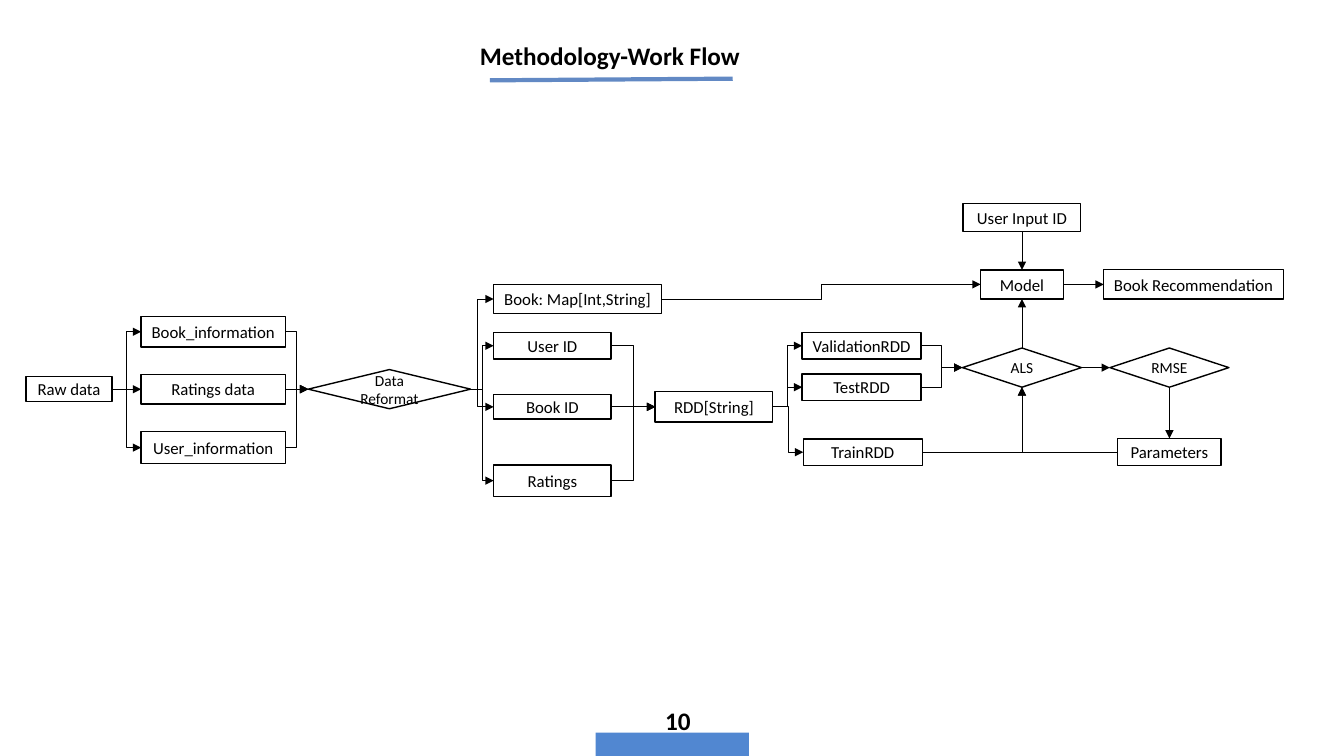
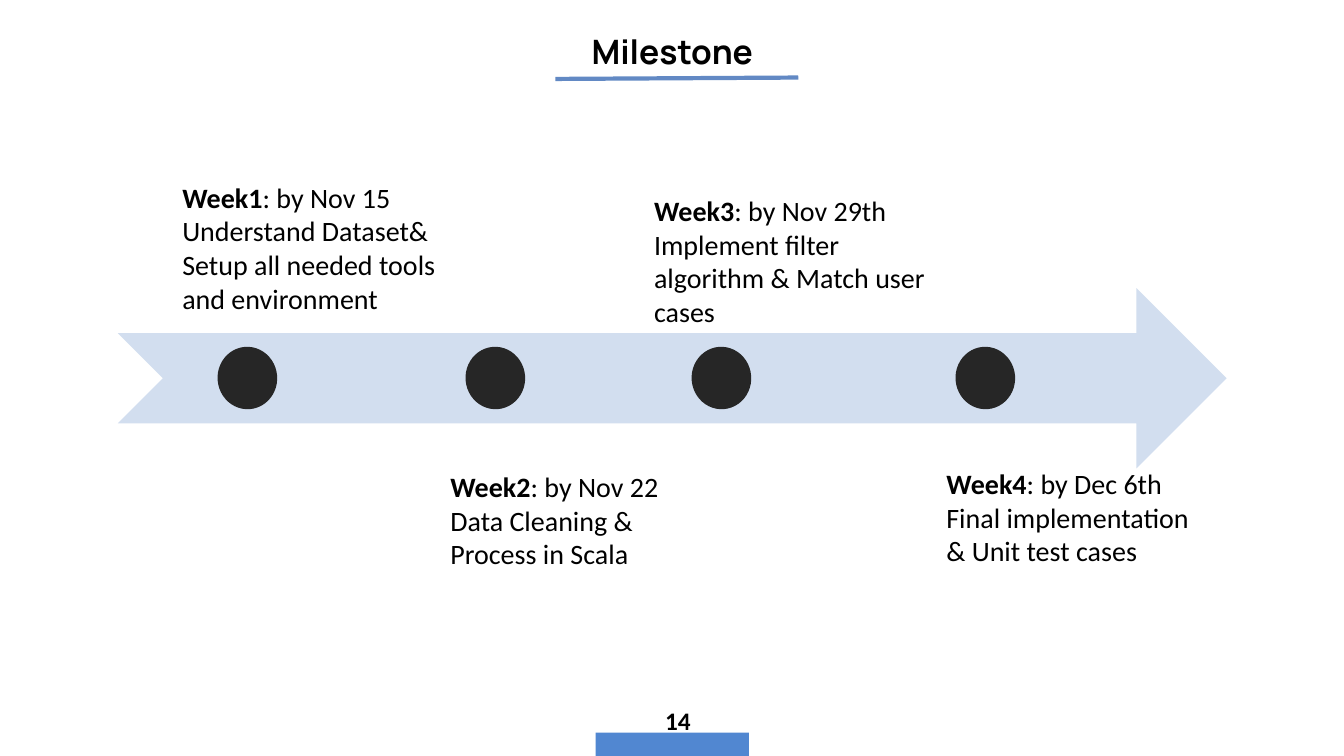
from dataclasses import dataclass

from lxml.etree import SubElement
from pptx import Presentation
from pptx.dml.color import RGBColor
from pptx.enum.shapes import MSO_CONNECTOR, MSO_SHAPE
from pptx.enum.text import MSO_ANCHOR, MSO_AUTO_SIZE, PP_ALIGN
from pptx.oxml.ns import qn
from pptx.shapes.autoshape import Shape
from pptx.shapes.connector import Connector
from pptx.slide import Slide
from pptx.text.text import TextFrame
from pptx.util import Pt

COLOURS = {
    "ink": "000000",
    "paper": "FFFFFF",
    "rule": "6289C4",
    "band": "5187D1",
    "arrow": "D2DEEF",
    "dot": "262626",
}
BODY_FONT = "Calibri"
TITLE_FONT = "Manrope"
TOP, LEFT, BOTTOM, RIGHT = range(4)
STRAIGHT, BENT, CORNER = "line", "bentConnector3", "bentConnector2"


@dataclass(frozen=True)
class Heading:
    text: str
    left: float
    top: float
    width: float
    height: float
    size: float
    font: str
    align: PP_ALIGN
    rule: tuple[float, float, float, float]


@dataclass(frozen=True)
class Node:
    text: str
    left: float
    middle: float
    width: float
    height: float
    diamond: bool = False


@dataclass(frozen=True)
class Link:
    source: str
    target: str
    route: str = BENT
    leave: int = RIGHT
    enter: int = LEFT
    bend: float = 0.5


@dataclass(frozen=True)
class Milestone:
    name: str
    due: str
    task: str
    left: float
    top: float
    width: float
    height: float
    dot_left: float


WORKFLOW_HEADING = Heading("Methodology-Work Flow", 335.5, 25.2, 205, 28.8, 18,
                           BODY_FONT, PP_ALIGN.LEFT, (350, 57.4, 523.4, 56.2))
MILESTONE_HEADING = Heading("Milestone", 375.8, 18.7, 208.8, 36, 24,
                            TITLE_FONT, PP_ALIGN.CENTER, (396.7, 56.4, 570.2, 55.4))

NODES = [
    Node("Raw data", 18.7, 278, 61.2, 18),
    Node("Book_information", 100.8, 237, 103, 21.6),
    Node("Ratings data", 100.8, 278, 103, 21),
    Node("User_information", 100.8, 319.7, 103, 23),
    Node("Data\nReformat", 220.2, 278, 116, 28, True),
    Node("Book: Map[Int,String]", 352.6, 213.6, 120, 21),
    Node("User ID", 352.6, 247, 84, 18.7),
    Node("Book ID", 352.6, 290.6, 84, 17.5),
    Node("Ratings", 352.6, 343.3, 84, 22.4),
    Node("RDD[String]", 468, 290.6, 84, 21.6),
    Node("ValidationRDD", 573, 247, 85, 18.8),
    Node("TestRDD", 573, 276.6, 85, 18.8),
    Node("TrainRDD", 573.8, 323, 85, 18.8),
    Node("ALS", 687.5, 262.6, 85, 28, True),
    Node("RMSE", 792.8, 262.6, 85, 28, True),
    Node("Parameters", 798.3, 323, 74, 19.5),
    Node("Model", 700.5, 203.2, 59, 20.8),
    Node("User Input ID", 688, 155.4, 84, 20),
    Node("Book Recommendation", 788.4, 203.2, 128.2, 21),
]

LINKS = [
    Link("Raw data", "Book_information"),
    Link("Raw data", "Ratings data", STRAIGHT),
    Link("Raw data", "User_information"),
    Link("Book_information", "Data\nReformat"),
    Link("Ratings data", "Data\nReformat", STRAIGHT),
    Link("User_information", "Data\nReformat"),
    Link("Data\nReformat", "Book: Map[Int,String]", bend=0.3),
    Link("Data\nReformat", "User ID"),
    Link("Data\nReformat", "Book ID", bend=0.3),
    Link("Data\nReformat", "Ratings"),
    Link("User ID", "RDD[String]"),
    Link("Book ID", "RDD[String]", STRAIGHT),
    Link("Ratings", "RDD[String]"),
    Link("RDD[String]", "ValidationRDD"),
    Link("RDD[String]", "TestRDD"),
    Link("RDD[String]", "TrainRDD"),
    Link("ValidationRDD", "ALS"),
    Link("TestRDD", "ALS"),
    Link("TrainRDD", "ALS", CORNER, RIGHT, BOTTOM),
    Link("Parameters", "ALS", CORNER, LEFT, BOTTOM),
    Link("ALS", "RMSE", STRAIGHT),
    Link("RMSE", "Parameters", STRAIGHT, BOTTOM, TOP),
    Link("ALS", "Model", STRAIGHT, TOP, BOTTOM),
    Link("User Input ID", "Model", STRAIGHT, BOTTOM, TOP),
    Link("Book: Map[Int,String]", "Model"),
    Link("Model", "Book Recommendation", STRAIGHT),
]

MILESTONES = [
    Milestone("Week1", ": by Nov 15",
              "Understand Dataset& Setup all needed tools and environment",
              123.1, 125.3, 207.4, 104.4, 155.4),
    Milestone("Week2", ": by Nov 22", "Data Cleaning & Process in Scala",
              314.6, 331.9, 177.1, 101.5, 332.5),
    Milestone("Week3", ": by Nov 29th",
              "Implement filter algorithm & Match user cases",
              460.1, 134.6, 208.8, 126, 494),
    Milestone("Week4", ": by Dec 6th", "Final implementation & Unit test cases",
              668.9, 329.8, 195.1, 79.9, 682.5),
]


def colour(name: str) -> RGBColor:
    return RGBColor.from_string(COLOURS[name])


def add_span(para, text: str, size: float, bold: bool = False,
             font: str = BODY_FONT) -> None:
    span = para.add_run()
    span.text = text
    span.font.name = font
    span.font.size = Pt(size)
    span.font.bold = bold
    span.font.color.rgb = colour("ink")


def prepare_frame(frame: TextFrame, anchor: MSO_ANCHOR, wrap: bool = True) -> None:
    frame.word_wrap = wrap
    frame.auto_size = MSO_AUTO_SIZE.NONE
    frame.vertical_anchor = anchor


def add_form(page: Slide, kind: MSO_SHAPE, left: float, top: float,
             width: float, height: float, fill: str) -> Shape:
    form = page.shapes.add_shape(kind, Pt(left), Pt(top), Pt(width), Pt(height))
    form.shadow.inherit = False
    form.fill.solid()
    form.fill.fore_color.rgb = colour(fill)
    form.line.fill.background()
    return form


def add_line(page: Slide, kind: MSO_CONNECTOR, ends: tuple[float, float, float, float],
             line_colour: str, weight: float) -> Connector:
    line = page.shapes.add_connector(kind, *(Pt(value) for value in ends))
    line.line.color.rgb = colour(line_colour)
    line.line.width = Pt(weight)
    SubElement(line._element.spPr, qn("a:effectLst"))
    return line


def start_page(deck: Presentation, heading: Heading, number: str) -> Slide:
    page = deck.slides.add_slide(deck.slide_layouts[5])
    title = page.shapes.title
    title.left, title.top = Pt(heading.left), Pt(heading.top)
    title.width, title.height = Pt(heading.width), Pt(heading.height)
    prepare_frame(title.text_frame, MSO_ANCHOR.MIDDLE)
    title.text_frame.margin_right = Pt(0 if heading.align == PP_ALIGN.LEFT else 7.2)
    para = title.text_frame.paragraphs[0]
    para.alignment = heading.align
    add_span(para, heading.text, heading.size, True, heading.font)
    add_line(page, MSO_CONNECTOR.STRAIGHT, heading.rule, "rule", 3)
    add_form(page, MSO_SHAPE.RECTANGLE, 425.5, 523.4, 109.4, 16.6, "band")
    box = page.shapes.add_textbox(Pt(468), Pt(500.4), Pt(33.1), Pt(28.8))
    prepare_frame(box.text_frame, MSO_ANCHOR.TOP, False)
    add_span(box.text_frame.paragraphs[0], number, 18, True)
    return page


def add_node(page: Slide, node: Node) -> Shape:
    kind = MSO_SHAPE.DIAMOND if node.diamond else MSO_SHAPE.RECTANGLE
    box = add_form(page, kind, node.left, node.middle - node.height / 2,
                   node.width, node.height, "paper")
    box.line.color.rgb = colour("ink")
    box.line.width = Pt(1)
    frame = box.text_frame
    prepare_frame(frame, MSO_ANCHOR.MIDDLE)
    frame.margin_left = frame.margin_right = Pt(0)
    for index, text in enumerate(node.text.split("\n")):
        para = frame.add_paragraph() if index else frame.paragraphs[0]
        para.alignment = PP_ALIGN.CENTER
        add_span(para, text, 11 if node.diamond else 12)
    return box


def add_link(page: Slide, boxes: dict[str, Shape], link: Link) -> None:
    kind = MSO_CONNECTOR.STRAIGHT if link.route == STRAIGHT else MSO_CONNECTOR.ELBOW
    line = add_line(page, kind, (0, 0, 0, 0), "ink", 0.5)
    line.begin_connect(boxes[link.source], link.leave)
    line.end_connect(boxes[link.target], link.enter)
    properties = line._element.spPr
    SubElement(properties.find(qn("a:ln")), qn("a:tailEnd"), type="triangle")
    geometry = properties.find(qn("a:prstGeom"))
    geometry.set("prst", link.route)
    if link.route == BENT:
        SubElement(geometry.find(qn("a:avLst")), qn("a:gd"), name="adj1",
                   fmla=f"val {round(link.bend * 100000)}")


def add_milestone(page: Slide, milestone: Milestone) -> None:
    dot = add_form(page, MSO_SHAPE.OVAL, milestone.dot_left, 247.7, 42.6, 44.6, "dot")
    dot.rotation = 355.3
    box = page.shapes.add_textbox(Pt(milestone.left), Pt(milestone.top),
                                  Pt(milestone.width), Pt(milestone.height))
    prepare_frame(box.text_frame, MSO_ANCHOR.TOP)
    para = box.text_frame.paragraphs[0]
    add_span(para, milestone.name, 20, True)
    add_span(para, milestone.due, 20)
    add_span(box.text_frame.add_paragraph(), milestone.task, 20)


def build_workflow(deck: Presentation) -> None:
    page = start_page(deck, WORKFLOW_HEADING, "10")
    boxes = {node.text: add_node(page, node) for node in NODES}
    for link in LINKS:
        add_link(page, boxes, link)


def build_milestones(deck: Presentation) -> None:
    page = start_page(deck, MILESTONE_HEADING, "14")
    add_form(page, MSO_SHAPE.NOTCHED_RIGHT_ARROW, 84.2, 205.8, 792, 128.8, "arrow")
    for milestone in MILESTONES:
        add_milestone(page, milestone)


def main() -> None:
    deck = Presentation()
    deck.slide_width, deck.slide_height = Pt(960), Pt(540)
    build_workflow(deck)
    build_milestones(deck)
    deck.save("out.pptx")


if __name__ == "__main__":
    main()
